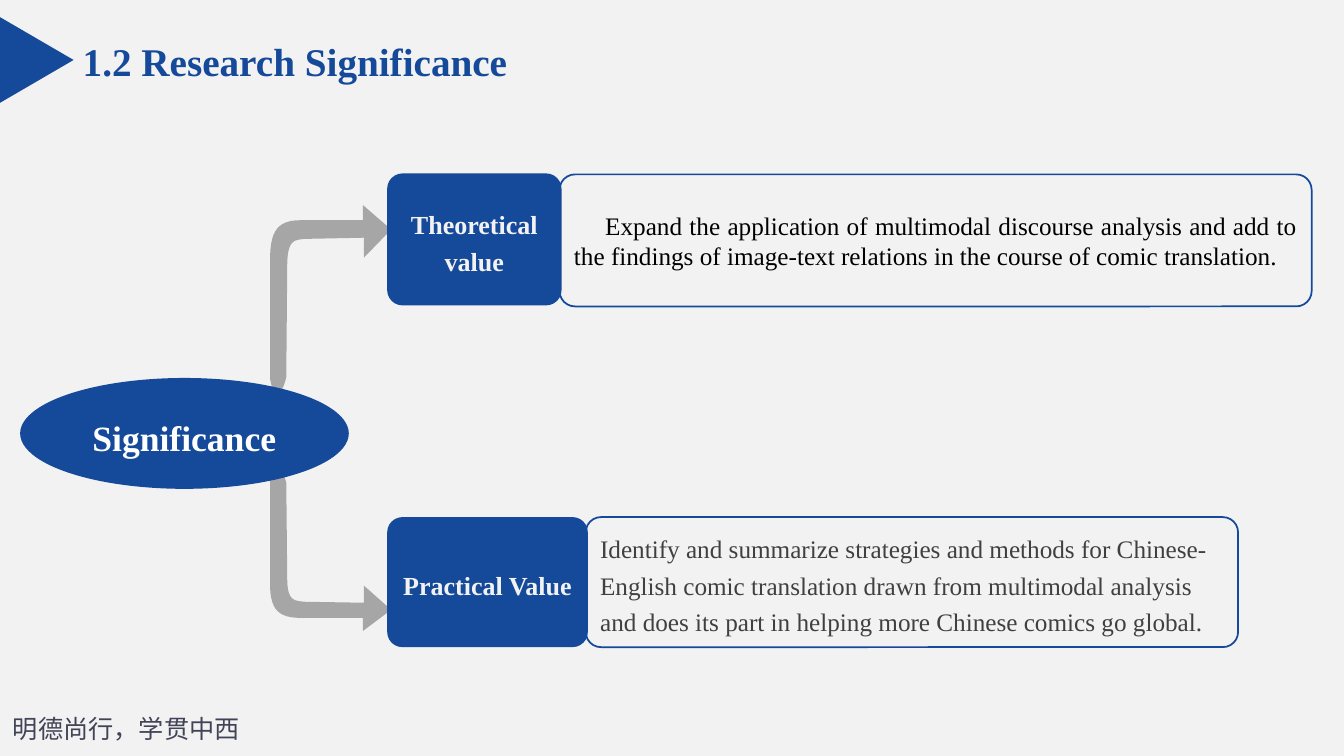
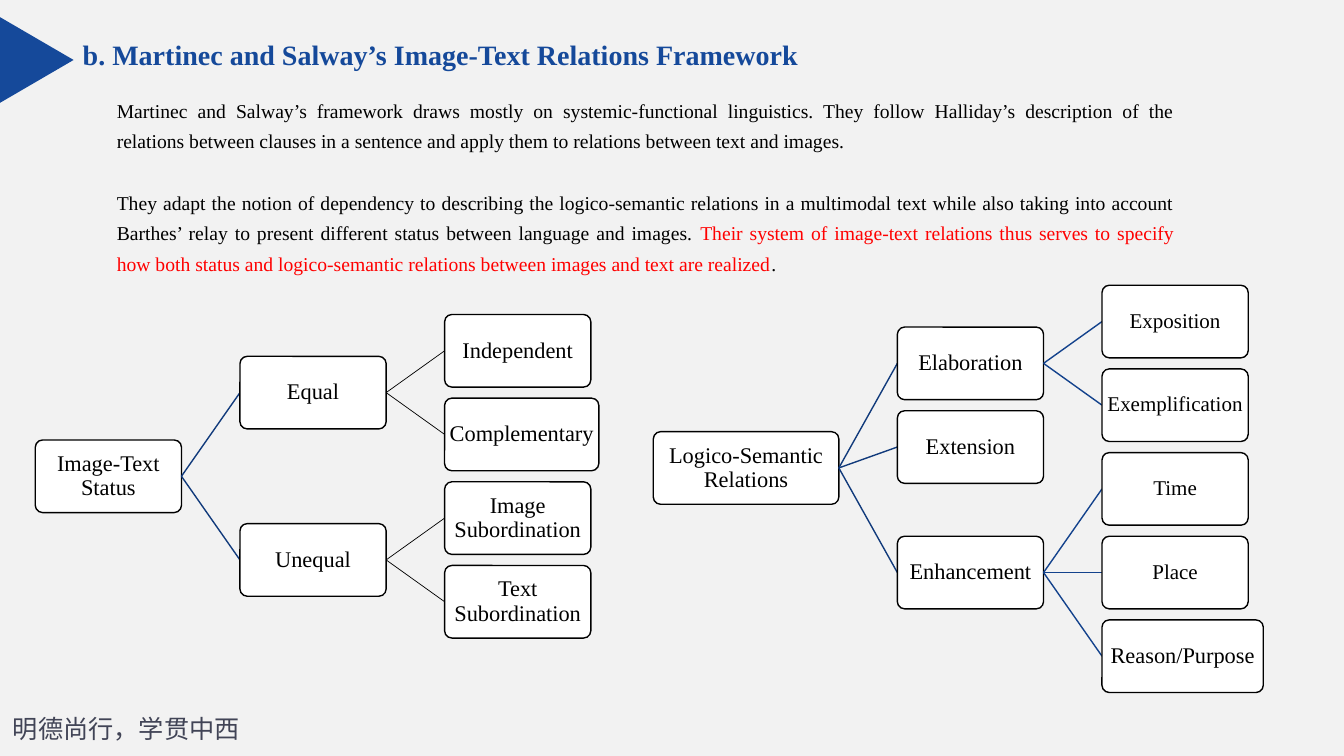
from dataclasses import dataclass
from lxml.etree import SubElement as Sub
from pptx import Presentation
from pptx.dml.color import RGBColor as Rgb
from pptx.enum.shapes import MSO_CONNECTOR as Conn, MSO_SHAPE as Geom
from pptx.enum.text import MSO_ANCHOR as Anchor, PP_ALIGN as Align
from pptx.oxml.ns import qn
from pptx.util import Inches, Pt

HUES = dict(paper="F2F2F2", blue="15499A", navy="113A7B", royal="13428C",
            gray="A6A6A6", slate="414456", ink="404040", black="000000",
            white="FFFFFF", red="FF0000")
SERIF, HAN = "Times New Roman", "Noto Sans CJK SC"
PAD = (0.1, 0.05, 0.1, 0.05)
ROW = 0.83    # pitch of the tree rows
NODE = 0.72   # height of a tree box
GAP = 0.58    # space between tree columns


def rgb(name):
    return Rgb.from_string(HUES[name])


def assign(obj, **vals):
    for key, val in vals.items():
        setattr(obj, key, val)


def curve(a, b, c, d, steps=12):
    """Points along a cubic Bezier, without its start."""
    for n in range(1, steps + 1):
        t = n / steps
        u = 1 - t
        yield tuple(u**3 * p + 3 * u * u * t * q + 3 * u * t * t * r + t**3 * s
                    for p, q, r, s in zip(a, b, c, d))


def bend():
    """Outline of the bent arrow, as x and distance from its tail."""
    return [
        (0.16, 0.19), (0.17, 1.18),
        *curve((0.17, 1.18), (0.18, 1.36), (0.24, 1.36), (0.34, 1.37)),
        (0.93, 1.38), (0.93, 1.21), (1.2, 1.45), (0.92, 1.66), (0.92, 1.53),
        (0.3, 1.53),
        *curve((0.3, 1.53), (0.08, 1.53), (0.01, 1.44), (0, 1.24)),
        (0, 0.17),
        *curve((0, 0.17), (0.03, 0), (0.12, 0.02), (0.16, 0.19)),
    ]


@dataclass
class Node:
    text: str
    kids: tuple = ()
    row: float = None
    wide: float = 1.45
    size: float = 16

    def level(self):
        """Row of the node: its own, or midway between its outer children."""
        if not self.kids:
            return self.row
        return (self.kids[0].level() + self.kids[-1].level()) / 2


class Deck:
    def __init__(self):
        self.prs = Presentation()
        assign(self.prs, slide_width=Inches(13.33), slide_height=Inches(7.5))
        back = self.prs.slide_master.background.fill
        back.solid()
        back.fore_color.rgb = rgb("paper")
        self.slide = None

    def page(self, title, size):
        self.slide = self.prs.slides.add_slide(self.prs.slide_layouts[6])
        self.label((0.03, 7.03, 2.49, 0.4), [[("明德尚行，学贯中西", "slate")]],
                   size=18, face=HAN)
        self.label((0.69, 0.26, 7.42, 0.6), [[(title, "blue")]], size=size,
                   bold=True, pad=(0.13, 0.11, 0.13, 0.07), wrap=False)
        mark = self.shape(Geom.ISOSCELES_TRIANGLE, (-0.06, 0.23, 0.85, 0.73), "blue")
        mark.rotation = 90

    def put(self, shape, paras, size, face=SERIF, bold=False, align=Align.LEFT,
            space=1.0, before=0, indent=0, pad=PAD, anchor=Anchor.MIDDLE, wrap=True):
        """Fill a shape with paragraphs, each a list of (text, colour) runs."""
        frame = shape.text_frame
        left, top, right, low = map(Inches, pad)
        assign(frame, word_wrap=wrap, vertical_anchor=anchor, margin_left=left,
               margin_top=top, margin_right=right, margin_bottom=low)
        for n, runs in enumerate(paras):
            para = frame.add_paragraph() if n else frame.paragraphs[0]
            assign(para, alignment=align, line_spacing=space)
            if n and before:
                para.space_before = Pt(before)
            if indent:
                para._p.get_or_add_pPr().set("indent", str(Inches(indent)))
            for text, hue in runs:
                run = para.add_run()
                run.text = text
                assign(run.font, size=Pt(size), bold=bold, name=face)
                run.font.color.rgb = rgb(hue)
                Sub(run.font._element, qn("a:ea")).set("typeface", face)

    def label(self, at, paras, **style):
        box = self.slide.shapes.add_textbox(*map(Inches, at))
        self.put(box, paras, anchor=Anchor.TOP, **style)

    def paint(self, shape, fill=None, line=None, weight=1.0):
        shape.shadow.inherit = False
        if fill:
            shape.fill.solid()
            shape.fill.fore_color.rgb = rgb(fill)
        else:
            shape.fill.background()
        if line:
            shape.line.color.rgb = rgb(line)
            shape.line.width = Pt(weight)
        else:
            shape.line.fill.background()
        return shape

    def shape(self, geom, at, fill=None, line=None, weight=1.0, turn=None):
        form = self.slide.shapes.add_shape(geom, *map(Inches, at))
        if turn:
            form.adjustments[0] = turn
        return self.paint(form, fill, line, weight)

    def card(self, at, text, hue, fill=None, line=None, turn=0.117, weight=1.25, **style):
        form = self.shape(Geom.ROUNDED_RECTANGLE, at, fill, line, weight, turn)
        self.put(form, [[(text, hue)]], **style)

    def arrow(self, left, tail, scale):
        """Bent arrow from its tail; a negative scale points it upward."""
        dots = [(Inches(left + x), Inches(tail + y * scale)) for x, y in bend()]
        pen = self.slide.shapes.build_freeform(*dots[0], scale=1.0)
        pen.add_line_segments(dots[1:], close=True)
        self.paint(pen.convert_to_shape(), "gray")

    def link(self, ends, hue, weight):
        line = self.slide.shapes.add_connector(Conn.STRAIGHT, *map(Inches, ends))
        line.line.color.rgb = rgb(hue)
        line.line.width = Pt(weight)
        Sub(line._element.spPr, qn("a:effectLst"))

    def tree(self, node, left, top, links):
        """Draw a node and its children; links holds a line style per level."""
        y = top + node.level() * ROW
        self.card((left, y, node.wide, NODE), node.text, "black", "white", "black",
                  turn=0.1, weight=1, size=node.size, align=Align.CENTER,
                  space=0.9, pad=(0.03,) * 4)
        edge = left + node.wide
        for kid in node.kids:
            end = top + kid.level() * ROW
            self.link((edge, y + NODE / 2, edge + GAP, end + NODE / 2), *links[0])
            self.tree(kid, edge + GAP, top, links[1:])


def values(deck):
    deck.page("1.2 Research Significance", 28)
    deck.arrow(2.68, 4.6, 1)
    deck.arrow(2.68, 3.96, -1.16)
    head = dict(size=18.6, bold=True, align=Align.CENTER, space=1.2)
    deck.card((5.55, 1.73, 7.46, 1.31),
              "Expand the application of multimodal discourse analysis and add to the "
              "findings of image-text relations in the course of comic translation.",
              "black", line="blue", size=18, align=Align.JUSTIFY, indent=0.31)
    deck.card((3.84, 1.72, 1.73, 1.31), "Theoretical value", "paper", "blue", **head)
    deck.card((5.81, 5.13, 6.47, 1.29),
              "Identify and summarize strategies and methods for Chinese-English comic "
              "translation drawn from multimodal analysis and does its part in helping "
              "more Chinese comics go global.",
              "ink", line="blue", size=18, space=1.2)
    deck.card((3.84, 5.13, 1.99, 1.29), "Practical Value", "paper", "blue", **head)
    hub = deck.shape(Geom.OVAL, (0.2, 3.75, 3.26, 1.1), "blue")
    deck.put(hub, [[("Significance", "white")]], **{**head, "size": 25.4})


def frames(deck):
    deck.page("b. Martinec and Salway’s Image-Text Relations Framework", 20)
    deck.label((1.06, 0.86, 10.69, 1.91), [
        [("Martinec and Salway’s framework draws mostly on systemic-functional "
          "linguistics. They follow Halliday’s description of the relations between "
          "clauses in a sentence and apply them to relations between text and images.",
          "black")],
        [("They adapt the notion of dependency to describing the logico-semantic "
          "relations in a multimodal text while also taking into account Barthes’ relay "
          "to present different status between language and images. ", "black"),
         ("Their system of image-text relations thus serves to specify how both status "
          "and logico-semantic relations between images and text are realized", "red"),
         (".", "black")],
    ], size=14, align=Align.JUSTIFY, space=1.3, before=22)
    status = Node("Image-Text Status", (
        Node("Equal", (Node("Independent", row=0),
                       Node("Complementary", row=1, wide=1.53))),
        Node("Unequal", (Node("Image Subordination", row=2),
                         Node("Text Subordination", row=3)))))
    logic = Node("Logico-Semantic Relations", (
        Node("Elaboration", (Node("Exposition", row=0, size=15),
                             Node("Exemplification", row=1, size=15))),
        Node("Extension", row=1.5),
        Node("Enhancement", (Node("Time", row=2, size=15),
                             Node("Place", row=3, size=15),
                             Node("Reason/Purpose", row=4, wide=1.6)))), wide=1.84)
    deck.tree(status, 0.35, 3.12, [("navy", 1), ("black", 0.5)])
    deck.tree(logic, 6.48, 2.83, [("navy", 1), ("royal", 1)])


def main():
    deck = Deck()
    values(deck)
    frames(deck)
    deck.prs.save("out.pptx")


if __name__ == "__main__":
    main()
